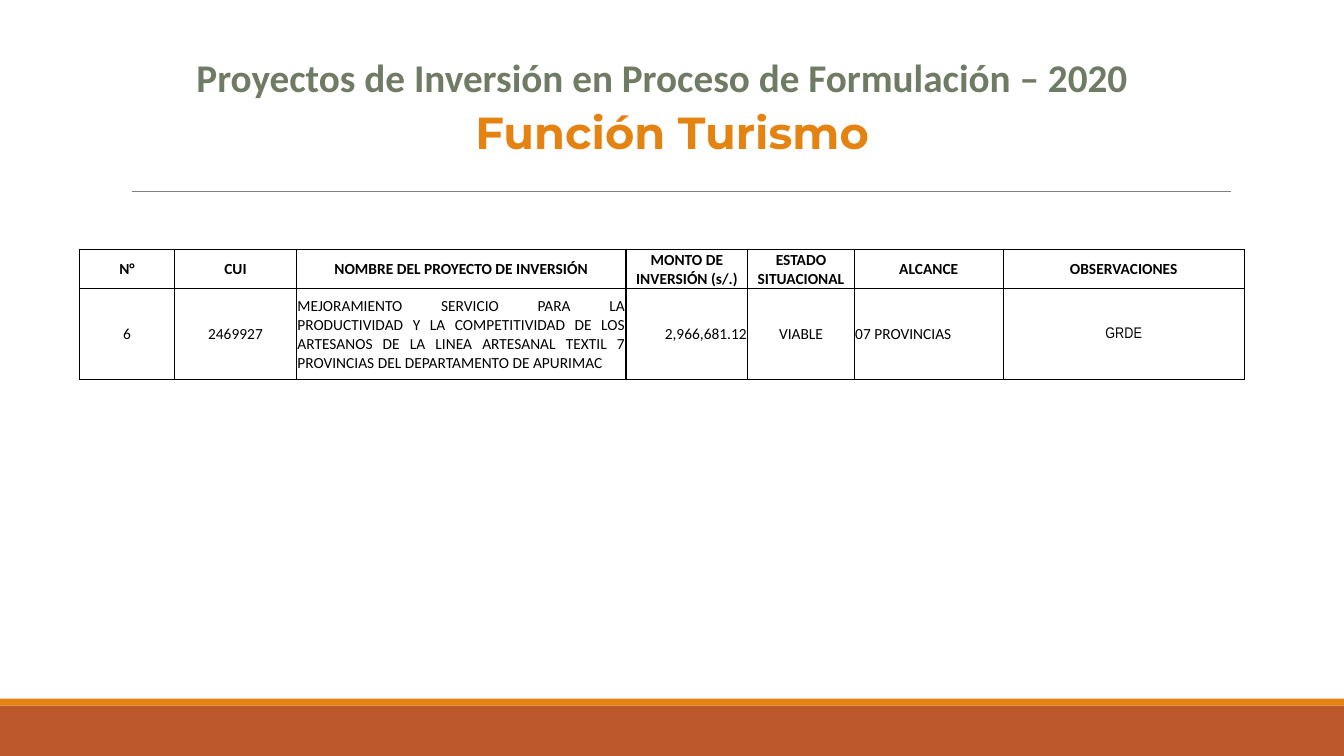
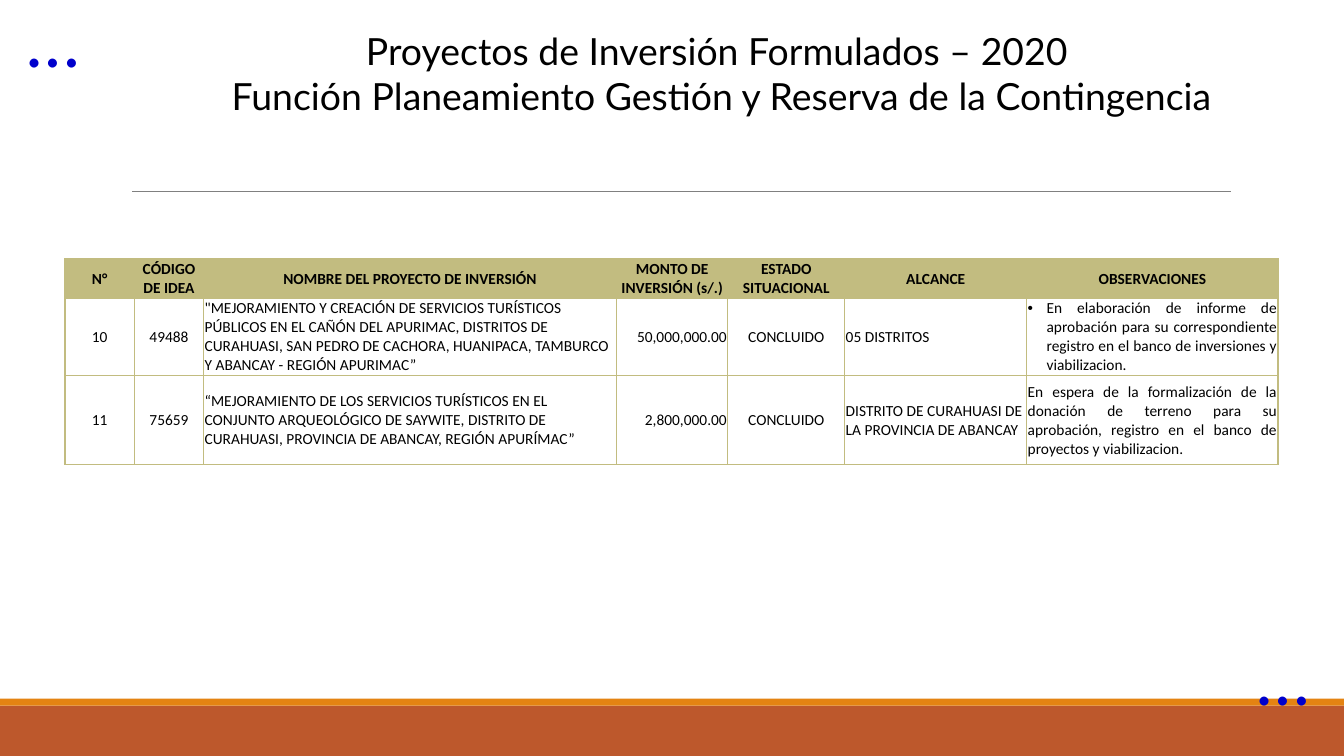
import pptx
import pptx.dml.color
import pptx.enum.shapes
import pptx.enum.text
import pptx.oxml.xmlchemy
import pptx.util
from lxml import etree

Pt = pptx.util.Pt
RGB = pptx.dml.color.RGBColor
Align = pptx.enum.text.PP_ALIGN
Anchor = pptx.enum.text.MSO_ANCHOR

# Colours
RUST = RGB(0xBD, 0x58, 0x2C)
ORANGE = RGB(0xE4, 0x83, 0x12)
GRAY = RGB(0x80, 0x80, 0x80)
SAGE = RGB(0x6F, 0x7B, 0x63)
KHAKI = RGB(0xC2, 0xBC, 0x80)
BLUE = RGB(0x00, 0x00, 0xCC)
BLACK = RGB(0, 0, 0)

WIDE, HIGH = 960, 540
SIDES = {"L": Align.LEFT, "C": Align.CENTER, "R": Align.RIGHT, "J": Align.JUSTIFY}
DOT = "• "
NS = "http://schemas.openxmlformats.org/drawingml/2006/main"


def node(parent, tag, **attrs):
    return etree.SubElement(parent, f"{{{NS}}}{tag}", attrs)


def write(frame, text, size=11, font="Calibri", color=BLACK, bold=False, side="C"):
    """Fill a frame; each line is a paragraph, a leading dot makes a bullet."""
    frame.word_wrap = True
    for i, line in enumerate(text.split("\n")):
        para = frame.paragraphs[0] if i == 0 else frame.add_paragraph()
        para.alignment = SIDES[side]
        if line.startswith(DOT):
            line = line[len(DOT):]
            props = para._p.get_or_add_pPr()
            props.set("marL", str(Pt(13.5)))
            props.set("indent", str(Pt(-13.5)))
            node(props, "buFont", typeface="Arial")
            node(props, "buChar", char=DOT.strip())
        para.font.size = Pt(size)
        para.font.name = font
        para.font.bold = bold
        para.font.color.rgb = color
        para.add_run().text = line


def bare(frame, anchor):
    frame.margin_left = frame.margin_right = 0
    frame.margin_top = frame.margin_bottom = 0
    frame.auto_size = pptx.enum.text.MSO_AUTO_SIZE.NONE
    frame.vertical_anchor = anchor


def label(slide, box, text, anchor=Anchor.BOTTOM, **style):
    shape = slide.shapes.add_textbox(*map(Pt, box))
    bare(shape.text_frame, anchor)
    write(shape.text_frame, text, **style)


def title(slide, box, text, **style):
    shape = slide.shapes.title
    shape.left, shape.top, shape.width, shape.height = map(Pt, box)
    bare(shape.text_frame, Anchor.BOTTOM)
    write(shape.text_frame, text, **style)


def band(slide, box, color):
    shape = slide.shapes.add_shape(
        pptx.enum.shapes.MSO_SHAPE.RECTANGLE, *map(Pt, box))
    shape.shadow.inherit = False
    shape.fill.solid()
    shape.fill.fore_color.rgb = color
    shape.line.fill.background()


def page(deck):
    """Title-only slide with the footer bands and the rule below the title."""
    slide = deck.slides.add_slide(deck.slide_layouts[5])
    band(slide, (0, 504, WIDE, 36), RUST)
    band(slide, (0, 499, WIDE, 5), ORANGE)
    rule = slide.shapes.add_connector(
        pptx.enum.shapes.MSO_CONNECTOR.STRAIGHT,
        Pt(94.5), Pt(136.5), Pt(879), Pt(136.5))
    rule.line.color.rgb = GRAY
    rule.line.width = Pt(0.5)
    node(rule._element.spPr, "effectLst")
    return slide


def edge(cell, color):
    props = cell._tc.get_or_add_tcPr()
    for tag in ("lnL", "lnR", "lnT", "lnB"):
        line = node(props, tag, w=str(Pt(1)))
        node(node(line, "solidFill"), "srgbClr", val=str(color))


def grid(slide, box, cols, highs, rows, sides, line, head=None, fonts=()):
    """Table whose column shares and row shares fill the box."""
    left, top, width, height = box
    table = slide.shapes.add_table(len(rows), len(cols), *map(Pt, box)).table
    table.first_row = table.horz_banding = False
    for col, share in zip(table.columns, cols):
        col.width = Pt(width * share / sum(cols))
    for row, share in zip(table.rows, highs):
        row.height = Pt(height * share / sum(highs))
    for r, texts in enumerate(rows):
        for c, text in enumerate(texts):
            cell = table.cell(r, c)
            edge(cell, line)
            if r == 0 and head is not None:
                cell.fill.solid()
                cell.fill.fore_color.rgb = head
            else:
                cell.fill.background()
            cell.margin_left = cell.margin_right = cell.margin_top = Pt(0.7)
            cell.margin_bottom = 0
            cell.vertical_anchor = Anchor.MIDDLE
            write(cell.text_frame, text, bold=r == 0,
                  side="C" if r == 0 else sides[c],
                  font=dict(fonts).get((r, c), "Calibri"))


def heads(code):
    return ["N°", code, "NOMBRE DEL PROYECTO DE INVERSIÓN",
            "MONTO DE INVERSIÓN (s/.)", "ESTADO SITUACIONAL", "ALCANCE",
            "OBSERVACIONES"]


def tourism(deck):
    slide = page(deck)
    title(slide, (26, 24.5, 893.5, 47.5),
          "Proyectos de Inversión en Proceso de Formulación – 2020",
          size=28, color=SAGE, bold=True)
    label(slide, (329, 66, 302.5, 47.5), "Función Turismo",
          size=32, font="Montserrat", color=ORANGE, bold=True)
    rows = [
        heads("CUI"),
        ["6", "2469927",
         "MEJORAMIENTO SERVICIO PARA LA PRODUCTIVIDAD Y LA COMPETITIVIDAD DE "
         "LOS ARTESANOS DE LA LINEA ARTESANAL TEXTIL 7 PROVINCIAS DEL "
         "DEPARTAMENTO DE APURIMAC",
         "2,966,681.12", "VIABLE", "07 PROVINCIAS", "GRDE"],
    ]
    grid(slide, (56.75, 178, 832, 93), (68, 87, 235.5, 87, 76, 106.5, 172),
         (28, 65), rows, "CCJRCLC", BLACK, fonts={(1, 6): "Arial Narrow"})


def planning(deck):
    slide = page(deck)
    title(slide, (101, 23, 829.5, 61),
          "Proyectos de Inversión Formulados – 2020 \n"
          "Función Planeamiento Gestión y Reserva de la Contingencia",
          size=26.7, font="Lato")
    rows = [
        heads("CÓDIGO DE IDEA"),
        ["10", "49488",
         "\"MEJORAMIENTO Y CREACIÓN DE SERVICIOS TURÍSTICOS PÚBLICOS EN EL "
         "CAÑÓN DEL APURIMAC, DISTRITOS DE CURAHUASI, SAN PEDRO DE CACHORA, "
         "HUANIPACA, TAMBURCO Y ABANCAY - REGIÓN APURIMAC”",
         "50,000,000.00", "CONCLUIDO", "05 DISTRITOS",
         DOT + "En elaboración de informe de aprobación para su "
         "correspondiente registro en el banco de inversiones y viabilizacion."],
        ["11", "75659",
         "“MEJORAMIENTO DE LOS SERVICIOS TURÍSTICOS EN EL CONJUNTO "
         "ARQUEOLÓGICO DE SAYWITE, DISTRITO DE CURAHUASI, PROVINCIA DE "
         "ABANCAY, REGIÓN APURÍMAC”",
         "2,800,000.00", "CONCLUIDO",
         "DISTRITO DE CURAHUASI DE LA PROVINCIA DE ABANCAY",
         "En espera de la formalización de la donación de terreno para su "
         "aprobación, registro en el banco de proyectos y viabilizacion."],
    ]
    grid(slide, (46.5, 185, 866.5, 147),
         (49.5, 49.5, 295, 79.5, 83.5, 130, 179.5), (28, 55, 64),
         rows, "CCLRCLJ", KHAKI, head=KHAKI)
    # Corner dots
    for left, top in ((19.5, -5), (898.5, 450.5)):
        label(slide, (left, top, 60, 65), "…", anchor=Anchor.TOP,
              size=53.3, color=BLUE, side="L")


def main():
    deck = pptx.Presentation()
    deck.slide_width, deck.slide_height = Pt(WIDE), Pt(HIGH)
    tourism(deck)
    planning(deck)
    deck.save("out.pptx")


if __name__ == "__main__":
    main()
